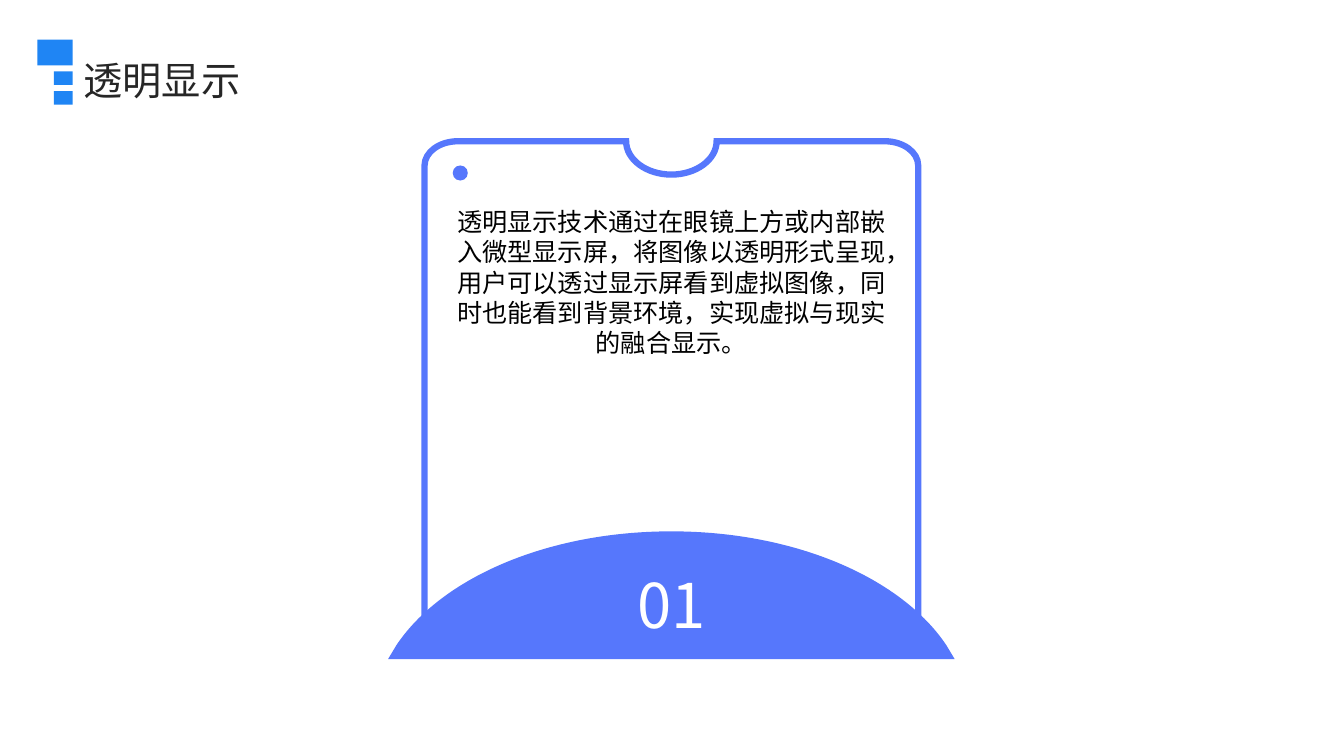
from dataclasses import dataclass

from lxml.etree import SubElement
from pptx import Presentation
from pptx.dml.color import RGBColor
from pptx.enum.shapes import MSO_SHAPE
from pptx.enum.text import MSO_ANCHOR, PP_ALIGN
from pptx.oxml.ns import qn
from pptx.util import Cm, Pt


@dataclass(frozen=True)
class Theme:
    font: str = "Noto Sans CJK SC"
    accent: RGBColor = RGBColor(0x56, 0x77, 0xFC)
    marker: RGBColor = RGBColor(0x1F, 0x85, 0xF4)
    title: RGBColor = RGBColor(0x26, 0x26, 0x26)
    body: RGBColor = RGBColor(0, 0, 0)
    white: RGBColor = RGBColor(255, 255, 255)
    title_size: Pt = Pt(28)
    body_size: Pt = Pt(18)
    number_size: Pt = Pt(44)
    outline: Pt = Pt(4.5)


def quarter_curve(start, corner, end):
    """Two control points and the end of a quarter ellipse bulging to the corner."""
    controls = [tuple(a + 0.55 * (b - a) for a, b in zip(point, corner))
                for point in (start, end)]
    return [*controls, end]


def add_outline(slide, start, segments, fill):
    """Add a closed freeform; one-point segments are lines, three-point ones curves."""
    points = [(Cm(x), Cm(y)) for segment in segments for x, y in segment]
    builder = slide.shapes.build_freeform(Cm(start[0]), Cm(start[1]))
    builder.add_line_segments(points, close=True)
    shape = builder.convert_to_shape()
    lines = iter(list(shape.element.iter(qn("a:lnTo"))))
    for segment in segments:
        line = next(lines)
        if len(segment) == 3:
            line.tag = qn("a:cubicBezTo")
            for following in (next(lines), next(lines)):
                line.append(following[0])
                following.getparent().remove(following)
    shape.shadow.inherit = False
    shape.fill.solid()
    shape.fill.fore_color.rgb = fill
    return shape


theme = Theme()
presentation = Presentation()
presentation.slide_width = Cm(33.87)
presentation.slide_height = Cm(19.05)
slide = presentation.slides.add_slide(presentation.slide_layouts[6])

# Card with rounded corners and a notch
middle = 16.92
left, top, right, bottom = 10.7, 3.56, 23.14, 16.13
corner_x, corner_y = 0.84, 0.61
notch_left, notch_right, notch_bottom = middle - 1.14, middle + 1.14, top + 0.84
card_start = (left + corner_x, top)
card_segments = [[(notch_left, top)]]
for start, corner, end in (
    ((notch_left, top), (notch_left, notch_bottom), (middle, notch_bottom)),
    ((middle, notch_bottom), (notch_right, notch_bottom), (notch_right, top)),
    ((right - corner_x, top), (right, top), (right, top + corner_y)),
    ((right, bottom - corner_y), (right, bottom), (right - corner_x, bottom)),
    ((left + corner_x, bottom), (left, bottom), (left, bottom - corner_y)),
    ((left, top + corner_y), (left, top), card_start),
):
    if card_segments[-1][-1] != start:
        card_segments.append([start])
    card_segments.append(quarter_curve(start, corner, end))
card = add_outline(slide, card_start, card_segments, theme.white)
card.line.color.rgb = theme.accent
card.line.width = theme.outline
SubElement(card.line._get_or_add_ln(), qn("a:miter")).set("lim", "800000")

# Dome at the foot of the card, mirrored about the middle
dome_top = (middle, 13.39)
right_curve = [(20.07, 13.39), (22.73, 14.58), (23.85, 16.26)]
dome_corner = (24.06, 16.61)
mirrored = [(2 * middle - x, y) for x, y in [*right_curve, dome_corner]]
dome = add_outline(slide, dome_top, [
    right_curve,
    [dome_corner],
    [mirrored[3]],
    [mirrored[2]],
    [mirrored[1], mirrored[0], dome_top],
], theme.accent)
dome.line.fill.background()

# Card text, card number and slide title
description = (
    "透明显示技术通过在眼镜上方或内部嵌入微型显示屏，将图像以透明形式呈现，"
    "用户可以透过显示屏看到虚拟图像，同时也能看到背景环境，实现虚拟与现实的融合显示。"
)
for text, box, size, color, alignment, anchor in (
    (description, (11.3, 5.2, 11.24, 7.42), theme.body_size, theme.body,
     PP_ALIGN.CENTER, MSO_ANCHOR.TOP),
    ("01", (13.56, 14.35, 6.73, 1.73), theme.number_size, theme.white,
     PP_ALIGN.CENTER, MSO_ANCHOR.MIDDLE),
    ("透明显示", (2.11, 1.35, 30.18, 1.3), theme.title_size, theme.title,
     PP_ALIGN.LEFT, MSO_ANCHOR.MIDDLE),
):
    text_frame = slide.shapes.add_textbox(*map(Cm, box)).text_frame
    text_frame.word_wrap = True
    text_frame.vertical_anchor = anchor
    text_frame.margin_left = text_frame.margin_right = 0
    text_frame.margin_top = text_frame.margin_bottom = 0
    text_frame.text = text
    paragraph = text_frame.paragraphs[0]
    paragraph.alignment = alignment
    font = paragraph.runs[0].font
    font.size = size
    font.color.rgb = color
    font.name = theme.font
    run_properties = paragraph.runs[0]._r.get_or_add_rPr()
    SubElement(run_properties, qn("a:ea")).set("typeface", theme.font)

# Dot on the card and the three title blocks
for kind, box, color in (
    (MSO_SHAPE.OVAL, (11.41, 4.17, 0.38, 0.38), theme.accent),
    (MSO_SHAPE.RECTANGLE, (0.94, 1.0, 0.89, 0.65), theme.marker),
    (MSO_SHAPE.RECTANGLE, (1.36, 1.8, 0.47, 0.34), theme.marker),
    (MSO_SHAPE.RECTANGLE, (1.36, 2.3, 0.47, 0.34), theme.marker),
):
    shape = slide.shapes.add_shape(kind, *map(Cm, box))
    shape.shadow.inherit = False
    shape.fill.solid()
    shape.fill.fore_color.rgb = color
    shape.line.fill.background()

presentation.save("out.pptx")
